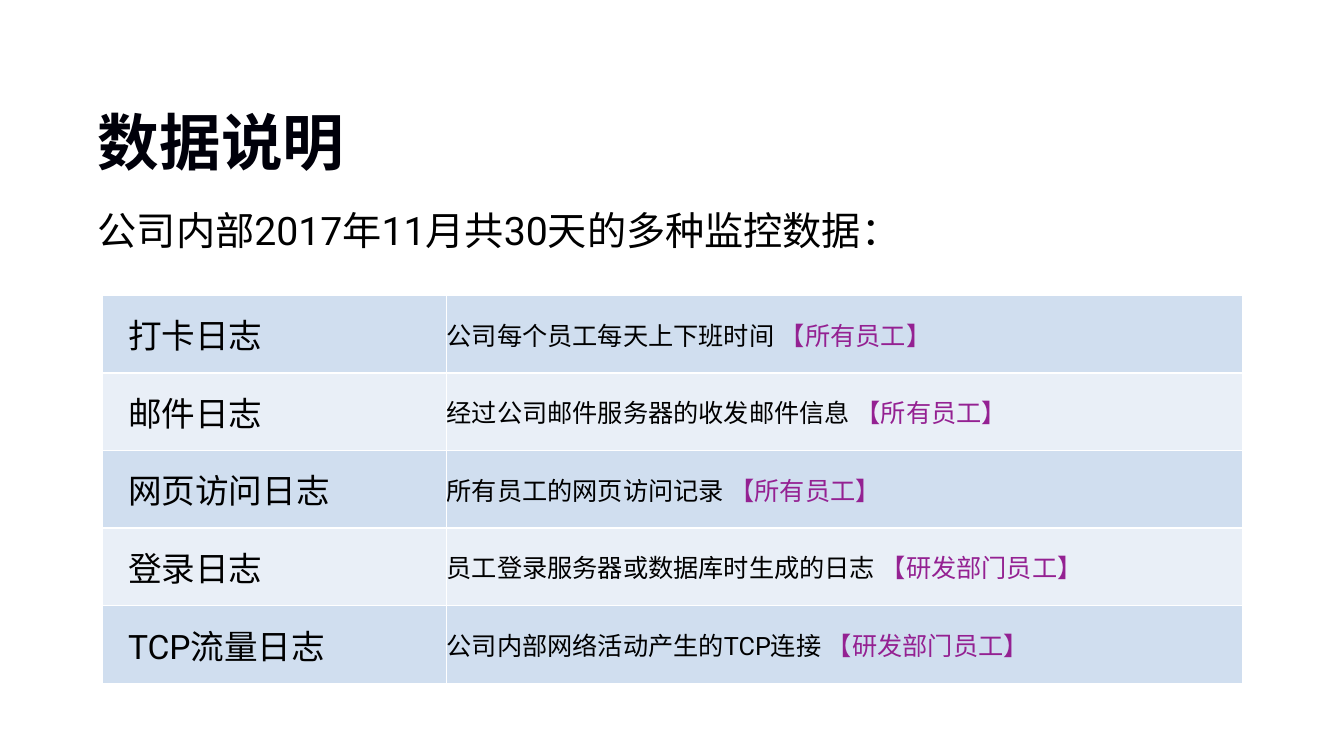
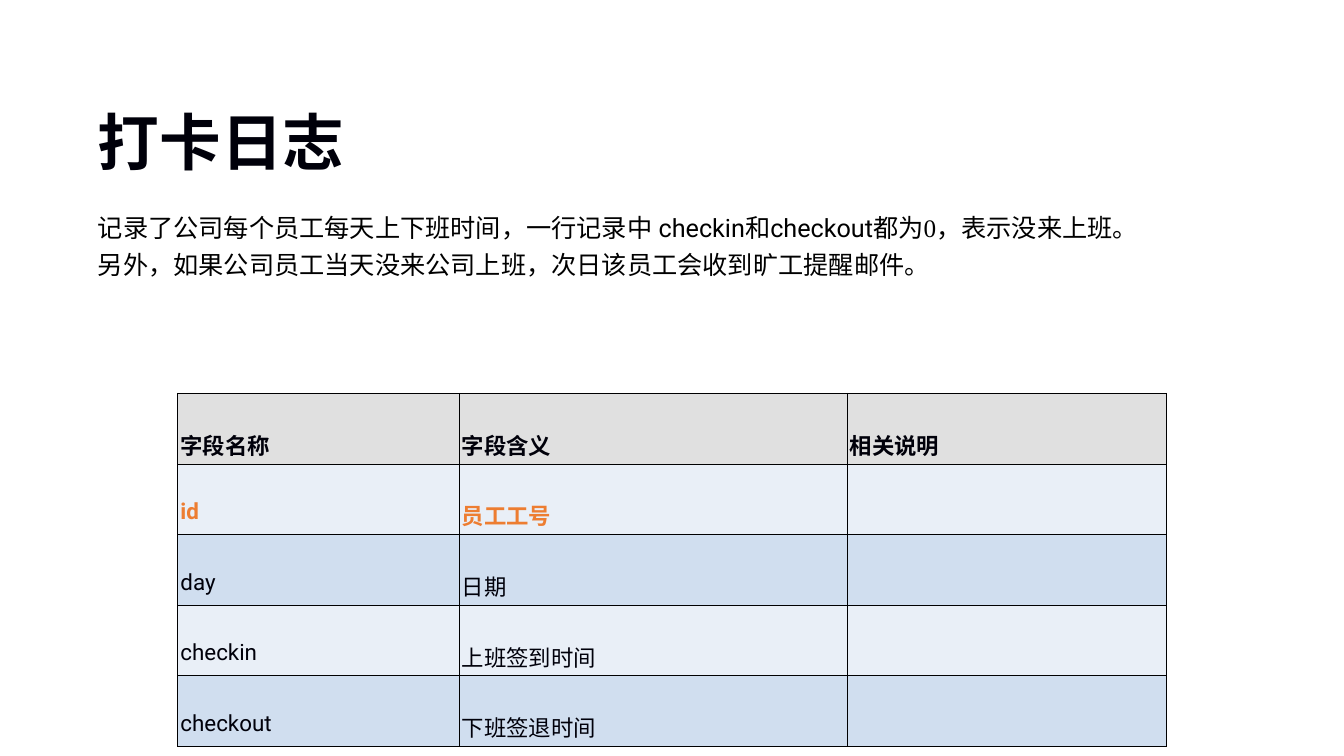
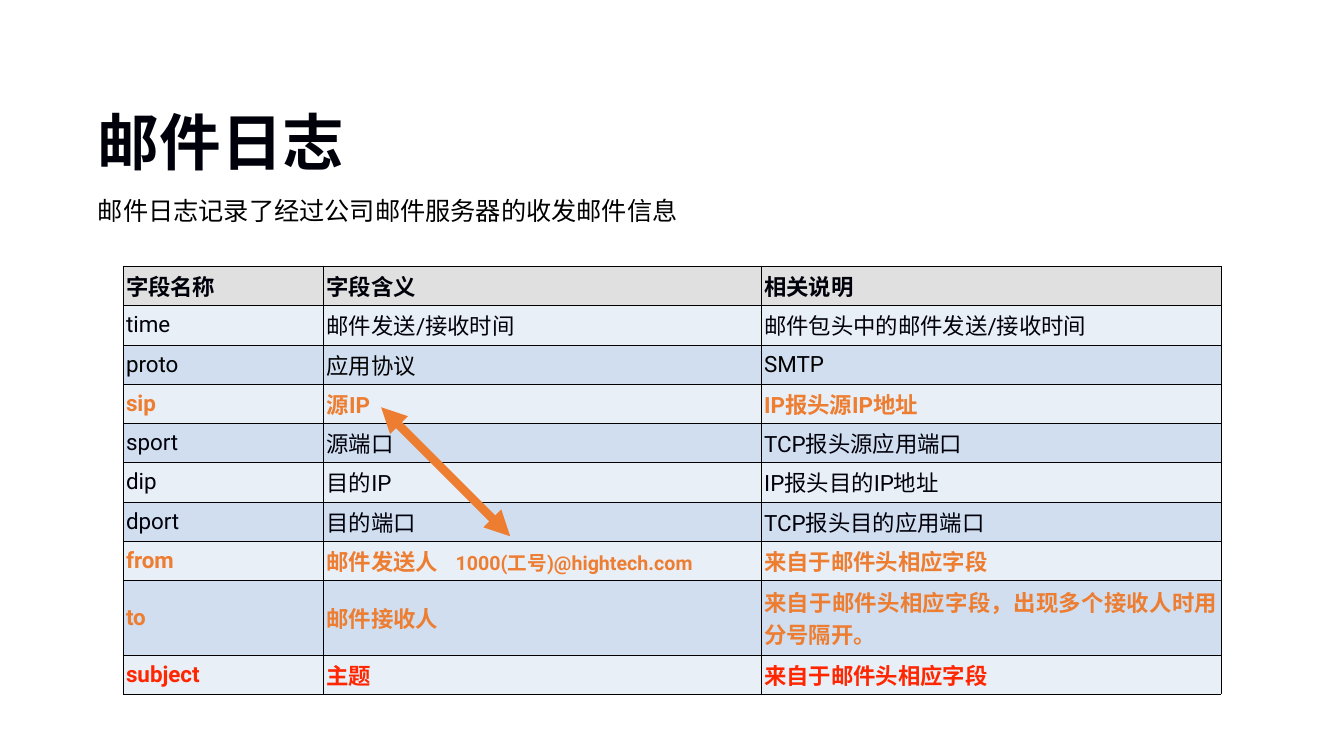
import dataclasses
import typing

import lxml.etree
import pptx
import pptx.dml.color
import pptx.enum.shapes
import pptx.enum.text
import pptx.oxml.ns
import pptx.util

EMU_PER_PX = 9144
SANS = "Roboto"
SERIF = "Times New Roman"
BLACK = "000000"
INK = "00000A"
ORANGE = "ED7D31"
RED = "FF2600"
PURPLE = "942192"
HEADER_FILL = "E0E0E0"
BAND_FILLS = ("D0DEEF", "E9EFF7")
JUSTIFY = pptx.enum.text.PP_ALIGN.JUSTIFY
LEFT = pptx.enum.text.PP_ALIGN.LEFT
MIDDLE = pptx.enum.text.MSO_ANCHOR.MIDDLE
TOP = pptx.enum.text.MSO_ANCHOR.TOP
CONTENT_LEFT, CONTENT_WIDTH = 92, 1150


@dataclasses.dataclass(frozen=True)
class Span:
    text: str
    size: int = 18
    color: str = BLACK
    bold: bool = False
    font: str = SANS


Line = tuple[Span, ...]


@dataclasses.dataclass(frozen=True)
class Field:
    name: str
    meaning: str
    remark: str = ""
    color: str = INK
    bold: bool = False
    sample: str = ""

    def cells(self) -> list[Line]:
        def styled(text: str, size: int = 16) -> Span:
            return Span(text, size, self.color, self.bold)

        meaning = (styled(self.meaning),)
        if self.sample:
            meaning = (styled(self.meaning + "\t"), styled(self.sample, 14))
        remark = (styled(self.remark),) if self.remark else ()
        return [(styled(self.name),), meaning, remark]


@dataclasses.dataclass(frozen=True)
class TableLook:
    left: int
    top: int
    columns: tuple[int, ...]
    rows: tuple[int, ...]
    border: str = "000001"
    border_pt: float = 0.25
    margin: int = 3
    header: bool = True
    spacing: float = 1.0
    first_indent: int = 0
    tab_stop: int = 0


HEADING = Field("字段名称", "字段含义", "相关说明", bold=True)

LOGS = [
    ("打卡日志", "公司每个员工每天上下班时间 ", "【所有员工】"),
    ("邮件日志", "经过公司邮件服务器的收发邮件信息 ", "【所有员工】"),
    ("网页访问日志", "所有员工的网页访问记录 ", "【所有员工】"),
    ("登录日志", "员工登录服务器或数据库时生成的日志 ", "【研发部门员工】"),
    ("TCP流量日志", "公司内部网络活动产生的TCP连接 ", "【研发部门员工】"),
]

CHECKIN_FIELDS = [
    HEADING,
    Field("id", "员工工号", color=ORANGE, bold=True),
    Field("day", "日期"),
    Field("checkin", "上班签到时间"),
    Field("checkout", "下班签退时间"),
]

MAIL_FIELDS = [
    HEADING,
    Field("time", "邮件发送/接收时间", "邮件包头中的邮件发送/接收时间"),
    Field("proto", "应用协议", "SMTP", BLACK),
    Field("sip", "源IP", "IP报头源IP地址", ORANGE, True),
    Field("sport", "源端口", "TCP报头源应用端口"),
    Field("dip", "目的IP", "IP报头目的IP地址"),
    Field("dport", "目的端口", "TCP报头目的应用端口"),
    Field("from", "邮件发送人", "来自于邮件头相应字段", ORANGE, True, "1000(工号)@hightech.com"),
    Field("to", "邮件接收人", "来自于邮件头相应字段，出现多个接收人时用分号隔开。", ORANGE, True),
    Field("subject", "主题", "来自于邮件头相应字段", RED, True),
]


def px(length: int) -> pptx.util.Emu:
    return pptx.util.Emu(length * EMU_PER_PX)


def rgb(color: str) -> pptx.dml.color.RGBColor:
    return pptx.dml.color.RGBColor.from_string(color)


def child(parent: typing.Any, tag: str, **attributes: str) -> typing.Any:
    return lxml.etree.SubElement(parent, pptx.oxml.ns.qn(tag), attributes)


def add_text(paragraph: typing.Any, text: str, *, size: int, color: str, bold: bool,
             font: str, east_asian: str = "") -> None:
    run = paragraph.add_run()
    run.text = text
    run.font.size = pptx.util.Pt(size)
    run.font.bold = bold
    run.font.color.rgb = rgb(color)
    run.font.name = font
    run.font.language_id = pptx.enum.lang.MSO_LANGUAGE_ID.SIMPLIFIED_CHINESE
    if east_asian:
        child(run.font._element, "a:ea", typeface=east_asian)


def add_line(paragraph: typing.Any, line: Line, spacing: float, east_asian: str = "",
             align: typing.Any = JUSTIFY) -> None:
    paragraph.alignment = align
    paragraph.line_spacing = spacing
    for span in line:
        add_text(paragraph, east_asian=east_asian, **dataclasses.asdict(span))


def fill_placeholder(holder: typing.Any, top: int, height: int, lines: list[Line],
                     spacing: float, anchor: typing.Any) -> None:
    holder.left, holder.top = px(CONTENT_LEFT), px(top)
    holder.width, holder.height = px(CONTENT_WIDTH), px(height)
    frame = holder.text_frame
    frame.word_wrap = True
    frame.auto_size = pptx.enum.text.MSO_AUTO_SIZE.NONE
    frame.vertical_anchor = anchor
    frame.margin_left = frame.margin_right = px(5)
    frame.margin_top = frame.margin_bottom = px(5)
    for number, line in enumerate(lines):
        paragraph = frame.add_paragraph() if number else frame.paragraphs[0]
        properties = paragraph._p.get_or_add_pPr()
        properties.set("marL", "0")
        properties.set("indent", "0")
        child(properties, "a:buNone")
        paragraph.space_before = pptx.util.Pt(0)
        add_line(paragraph, line, spacing, SANS)


def add_slide(deck: typing.Any, title: str, lines: list[Line], body_top: int = 200,
              spacing: float = 1.2) -> typing.Any:
    slide = deck.slides.add_slide(deck.slide_layouts[1])
    heading, body = slide.placeholders
    fill_placeholder(heading, 40, 145, [(Span(title, 44, INK, True),)], 1.73, MIDDLE)
    fill_placeholder(body, body_top, 476, lines, spacing, TOP)
    return slide


def set_borders(cell: typing.Any, color: str, width: float) -> None:
    properties = cell._tc.get_or_add_tcPr()
    for number, side in enumerate(("lnL", "lnR", "lnT", "lnB")):
        edge = child(properties, f"a:{side}", w=str(pptx.util.Pt(width)))
        child(child(edge, "a:solidFill"), "a:srgbClr", val=color)
        properties.insert(number, edge)


def add_table(slide: typing.Any, look: TableLook, content: list[list[Line]]) -> None:
    table = slide.shapes.add_table(
        len(look.rows), len(look.columns), px(look.left), px(look.top),
        px(sum(look.columns)), px(sum(look.rows))).table
    table.first_row = table.horz_banding = False
    for column, width in zip(table.columns, look.columns):
        column.width = px(width)
    for row, height in zip(table.rows, look.rows):
        row.height = px(height)
    for row_number, lines in enumerate(content):
        is_header = look.header and row_number == 0
        fill = HEADER_FILL if is_header else BAND_FILLS[row_number % 2]
        for column_number, line in enumerate(lines):
            cell = table.cell(row_number, column_number)
            cell.fill.solid()
            cell.fill.fore_color.rgb = rgb(fill)
            set_borders(cell, look.border, look.border_pt)
            cell.vertical_anchor = MIDDLE
            cell.margin_left = cell.margin_right = px(look.margin)
            cell.margin_top = cell.margin_bottom = px(look.margin)
            if not line:
                continue
            paragraph = cell.text_frame.paragraphs[0]
            indented = look.first_indent and column_number == 0
            properties = paragraph._p.get_or_add_pPr()
            if indented:
                properties.set("marL", str(px(look.first_indent)))
            if any("\t" in span.text for span in line):
                child(child(properties, "a:tabLst"), "a:tab",
                      pos=str(px(look.tab_stop)), algn="l")
            add_line(paragraph, line, look.spacing, align=LEFT if indented else JUSTIFY)


def add_double_arrow(slide: typing.Any, start: tuple[int, int], end: tuple[int, int]) -> None:
    arrow = slide.shapes.add_connector(
        pptx.enum.shapes.MSO_CONNECTOR.STRAIGHT, *map(px, start + end))
    arrow.line.color.rgb = rgb(ORANGE)
    arrow.line.width = pptx.util.Pt(6)
    for tag in ("a:headEnd", "a:tailEnd"):
        child(arrow.line._ln, tag, type="triangle")
    child(arrow._element.spPr, "a:effectLst")


def add_data_overview(deck: typing.Any) -> None:
    slide = add_slide(deck, "数据说明", [(Span("公司内部2017年11月共30天的多种监控数据：", 28),)],
                      spacing=1.0)
    look = TableLook(102, 293, (341, 789), (77,) * 5, "FFFFFF", 1, margin=0,
                     header=False, first_indent=25)
    add_table(slide, look, [
        [(Span(log, 24),), (Span(description), Span(scope, color=PURPLE))]
        for log, description, scope in LOGS])


def add_checkin_log(deck: typing.Any) -> None:
    slide = add_slide(deck, "打卡日志", [
        (Span("记录了公司每个员工每天上下班时间，一行记录中 checkin和checkout都为"),
         Span("0", font=SERIF), Span("，表示没来上班。")),
        (Span("另外，如果公司员工当天没来公司上班，次日该员工会收到旷工提醒邮件。"),)])
    look = TableLook(176, 390, (279, 385, 317), (52,) * 5, spacing=2.0)
    add_table(slide, look, [field.cells() for field in CHECKIN_FIELDS])


def add_mail_log(deck: typing.Any) -> None:
    slide = add_slide(deck, "邮件日志", [(Span("邮件日志记录了经过公司邮件服务器的收发邮件信息"),)],
                      body_top=183)
    look = TableLook(122, 264, (199, 434, 456), (39,) * 8 + (74, 39), tab_stop=128)
    add_table(slide, look, [field.cells() for field in MAIL_FIELDS])
    add_double_arrow(slide, (378, 404), (506, 532))


def main() -> None:
    deck = pptx.Presentation()
    deck.slide_width, deck.slide_height = px(1333), px(750)
    add_data_overview(deck)
    add_checkin_log(deck)
    add_mail_log(deck)
    deck.save("out.pptx")


import pptx.enum.lang

if __name__ == "__main__":
    main()
